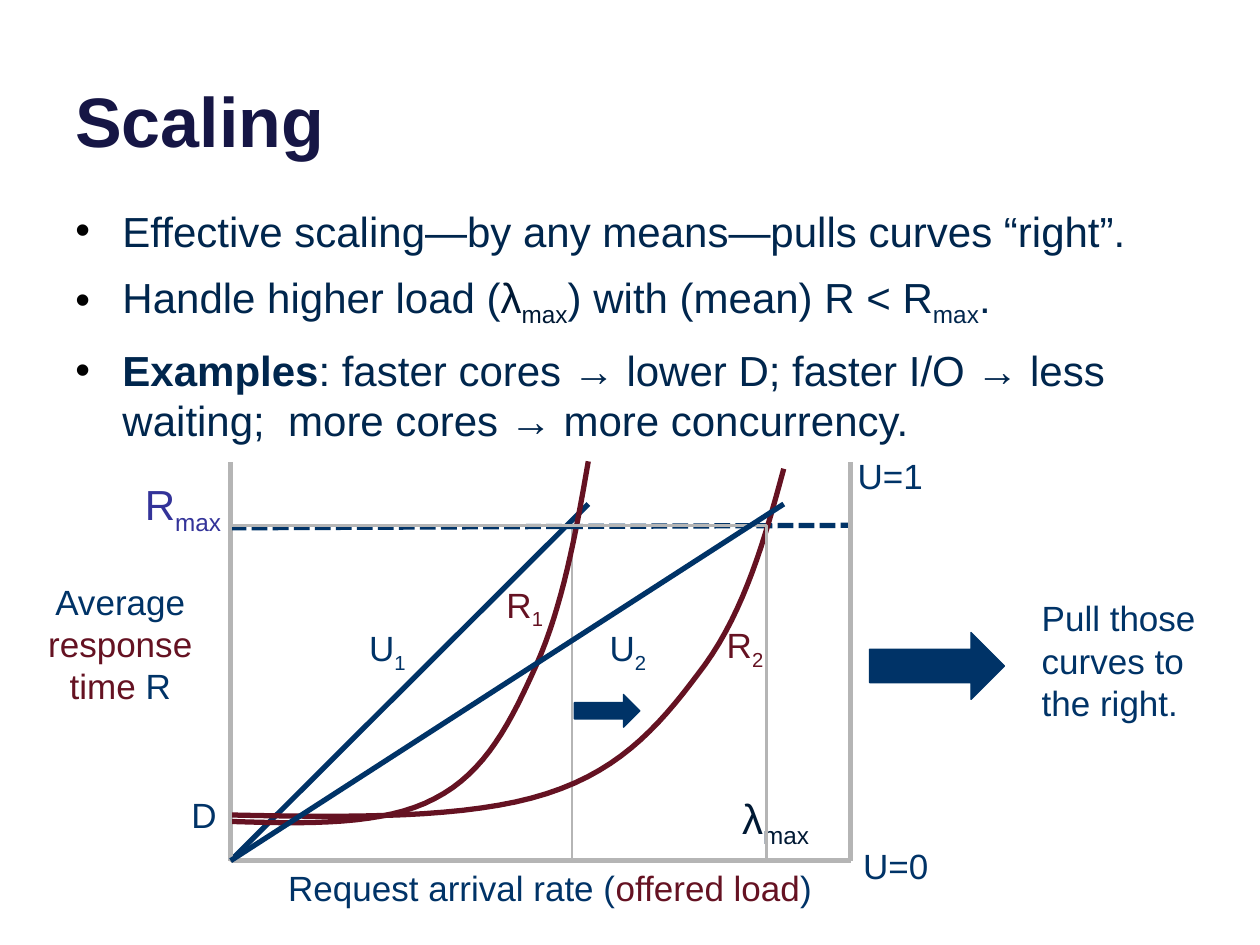
from pptx import Presentation
from pptx.dml.color import RGBColor
from pptx.enum.dml import MSO_LINE
from pptx.enum.shapes import MSO_CONNECTOR, MSO_SHAPE
from pptx.enum.text import MSO_ANCHOR, MSO_AUTO_SIZE, PP_ALIGN
from pptx.oxml.ns import qn
from pptx.util import Cm, Pt
from lxml.etree import SubElement

COLORS = {
    "title": "161645", "body": "00264D", "lambda": "001934", "bullet": "000000",
    "blue": "003367", "red": "651222", "grey": "B5B5B5", "violet": "333399",
}
FONT = "Arial"

# Plot area and the two operating points, in cm
LEFT, RIGHT, TOP, BOTTOM = 4.65, 17.15, 9.32, 17.35
R_MAX, U_TOP = 10.59, 10.16
LABEL_H, BIG_LABEL_H = 1.12, 1.27

# Cubic Bezier points: a start, then two controls and an end per segment
CURVE_1 = [(4.65, 16.56), (6.2, 16.61), (7.75, 16.64), (8.76, 16.1),
           (9.8, 15.57), (10.31, 14.53), (10.82, 13.39),
           (11.33, 12.24), (11.61, 10.77), (11.86, 9.3)]
CURVE_2 = [(4.65, 16.43), (7.04, 16.48), (9.45, 16.51), (11.02, 16),
           (12.62, 15.49), (13.41, 14.48), (14.22, 13.39),
           (15.01, 12.29), (15.42, 10.87), (15.8, 9.45)]


def rgb(name):
    return RGBColor.from_string(COLORS[name])


def add_runs(p, runs, size):
    """Each run is (text, colour) or (text, colour, "sub" or "bold")."""
    for text, color, *style in runs:
        r = p.add_run()
        r.text = text
        r.font.name, r.font.size = FONT, Pt(size)
        r.font.color.rgb = rgb(color)
        r.font.bold = "bold" in style
        if "sub" in style:
            r.font._element.set("baseline", "-25000")


def add_text(slide, box, runs, size=20, wrap=False, align=PP_ALIGN.LEFT):
    tf = slide.shapes.add_textbox(*map(Cm, box)).text_frame
    tf.word_wrap = wrap
    tf.auto_size = MSO_AUTO_SIZE.SHAPE_TO_FIT_TEXT
    tf.paragraphs[0].alignment = align
    add_runs(tf.paragraphs[0], runs, size)


def add_title(slide, text):
    box = slide.shapes.add_textbox(Cm(1.27), Cm(-0.94), Cm(22.86), Cm(4.32))
    tf = box.text_frame
    tf.word_wrap = True
    tf.vertical_anchor = MSO_ANCHOR.BOTTOM
    add_runs(tf.paragraphs[0], [(text, "title", "bold")], 40)


def add_bullets(slide, items):
    box = slide.shapes.add_textbox(Cm(1.27), Cm(4.01), Cm(22.86), Cm(4.32))
    tf = box.text_frame
    tf.word_wrap = True
    for i, runs in enumerate(items):
        p = tf.add_paragraph() if i else tf.paragraphs[0]
        if i:
            p.space_before = Pt(9)
        pPr = p._p.get_or_add_pPr()
        pPr.set("marL", str(Cm(0.95)))
        pPr.set("indent", str(-Cm(0.95)))
        color = SubElement(pPr, qn("a:buClr"))
        SubElement(color, qn("a:srgbClr")).set("val", COLORS["bullet"])
        SubElement(pPr, qn("a:buFont")).set("typeface", FONT)
        SubElement(pPr, qn("a:buChar")).set("char", "•")
        add_runs(p, runs, 24)


def add_line(slide, start, end, color, dash=None):
    line = slide.shapes.add_connector(
        MSO_CONNECTOR.STRAIGHT, *map(Cm, (*start, *end)))
    line.line.color.rgb = rgb(color)
    line.line.width = Pt(3)
    if dash:
        line.line.dash_style = dash
    SubElement(line._element.spPr, qn("a:effectLst"))


def add_frame(slide, width):
    sp = slide.shapes.add_shape(
        MSO_SHAPE.RECTANGLE, *map(Cm, (LEFT, R_MAX, width, BOTTOM - R_MAX)))
    sp.shadow.inherit = False
    sp.fill.background()
    sp.line.color.rgb = rgb("grey")
    sp.line.width = Pt(1.5)


def add_arrow(slide, box):
    sp = slide.shapes.add_shape(MSO_SHAPE.RIGHT_ARROW, *map(Cm, box))
    sp.shadow.inherit = False
    sp.fill.solid()
    sp.fill.fore_color.rgb = rgb("blue")
    sp.line.color.rgb = rgb("blue")
    sp.line.width = Pt(0.75)


def bezier(points, steps=16):
    for i in range(0, len(points) - 1, 3):
        a, b, c, d = points[i:i + 4]
        for n in range(1, steps + 1):
            t = n / steps
            u = 1 - t
            yield tuple(
                Cm(u**3 * a[k] + 3 * u * u * t * b[k] + 3 * u * t * t * c[k] + t**3 * d[k])
                for k in (0, 1))


def add_curve(slide, points):
    builder = slide.shapes.build_freeform(*map(Cm, points[0]))
    builder.add_line_segments(list(bezier(points)), close=False)
    sp = builder.convert_to_shape()
    sp.shadow.inherit = False
    sp.fill.background()
    sp.line.color.rgb = rgb("red")
    sp.line.width = Pt(3)


def add_label(slide, x, y, width, letter, sub, color, size=20):
    height = LABEL_H if size == 20 else BIG_LABEL_H
    runs = [(letter, color)] + ([(sub, color, "sub")] if sub else [])
    add_text(slide, (x, y, width, height), runs, size)


def main():
    prs = Presentation()
    prs.slide_width, prs.slide_height = Cm(25.4), Cm(19.05)
    slide = prs.slides.add_slide(prs.slide_layouts[6])

    # Title and bullets
    add_title(slide, "Scaling")
    add_bullets(slide, [
        [("Effective scaling—by any means—pulls curves “right”.", "body")],
        [("Handle higher load (", "body"), ("λ", "lambda"), ("max", "lambda", "sub"),
         (") with (mean) R < R", "body"), ("max", "body", "sub"), (".", "body")],
        [("Examples", "body", "bold"),
         (": faster cores → lower D; faster I/O → less waiting;  "
          "more cores → more concurrency.", "body")],
    ])

    # Axis titles
    add_text(slide, (5.56, BOTTOM, 11.15, LABEL_H),
             [("Request arrival rate (", "blue"), ("offered load", "red"), (")", "blue")])
    add_text(slide, (0.2, 11.58, 4.45, 2.82),
             [("Average ", "blue"), ("response time ", "red"), ("R", "blue")],
             wrap=True, align=PP_ALIGN.CENTER)

    # First system, with the left and bottom axes
    origin = (LEFT, BOTTOM)
    add_frame(slide, 6.88)
    add_line(slide, origin, (11.86, U_TOP), "blue")
    add_line(slide, (LEFT, TOP), origin, "grey")
    add_line(slide, (RIGHT, BOTTOM), origin, "grey")
    add_label(slide, 7.19, 12.5, 1.3, "U", "1", "blue")
    add_curve(slide, CURVE_1)
    add_label(slide, 9.96, 11.63, 1.3, "R", "1", "red")

    # Limits
    add_label(slide, 3.61, 15.88, 1.02, "D", "", "blue")
    add_line(slide, (LEFT, 10.64), (RIGHT, R_MAX), "blue", MSO_LINE.SQUARE_DOT)
    add_label(slide, 2.67, 9.53, 2.21, "R", "max", "violet", 24)
    add_label(slide, 14.71, 15.85, 2.06, "λ", "max", "lambda", 24)

    # Second system
    add_curve(slide, CURVE_2)
    add_frame(slide, 10.8)
    add_line(slide, origin, (15.8, U_TOP), "blue")
    add_label(slide, 12.04, 12.5, 1.3, "U", "2", "blue")
    add_label(slide, 14.4, 12.45, 1.3, "R", "2", "red")

    # Right axis, arrows and remark
    add_arrow(slide, (17.53, 12.75, 2.72, 1.35))
    add_text(slide, (20.75, 11.91, 3.68, 2.82),
             [("Pull those curves to the right.", "blue")], wrap=True)
    add_line(slide, (RIGHT, TOP), (RIGHT, BOTTOM), "grey")
    add_label(slide, 17.15, 16.89, 1.83, "U=0", "", "blue")
    add_label(slide, 17.04, 9.04, 1.83, "U=1", "", "blue")
    add_arrow(slide, (11.58, 14, 1.32, 0.66))

    prs.save("out.pptx")


if __name__ == "__main__":
    main()
